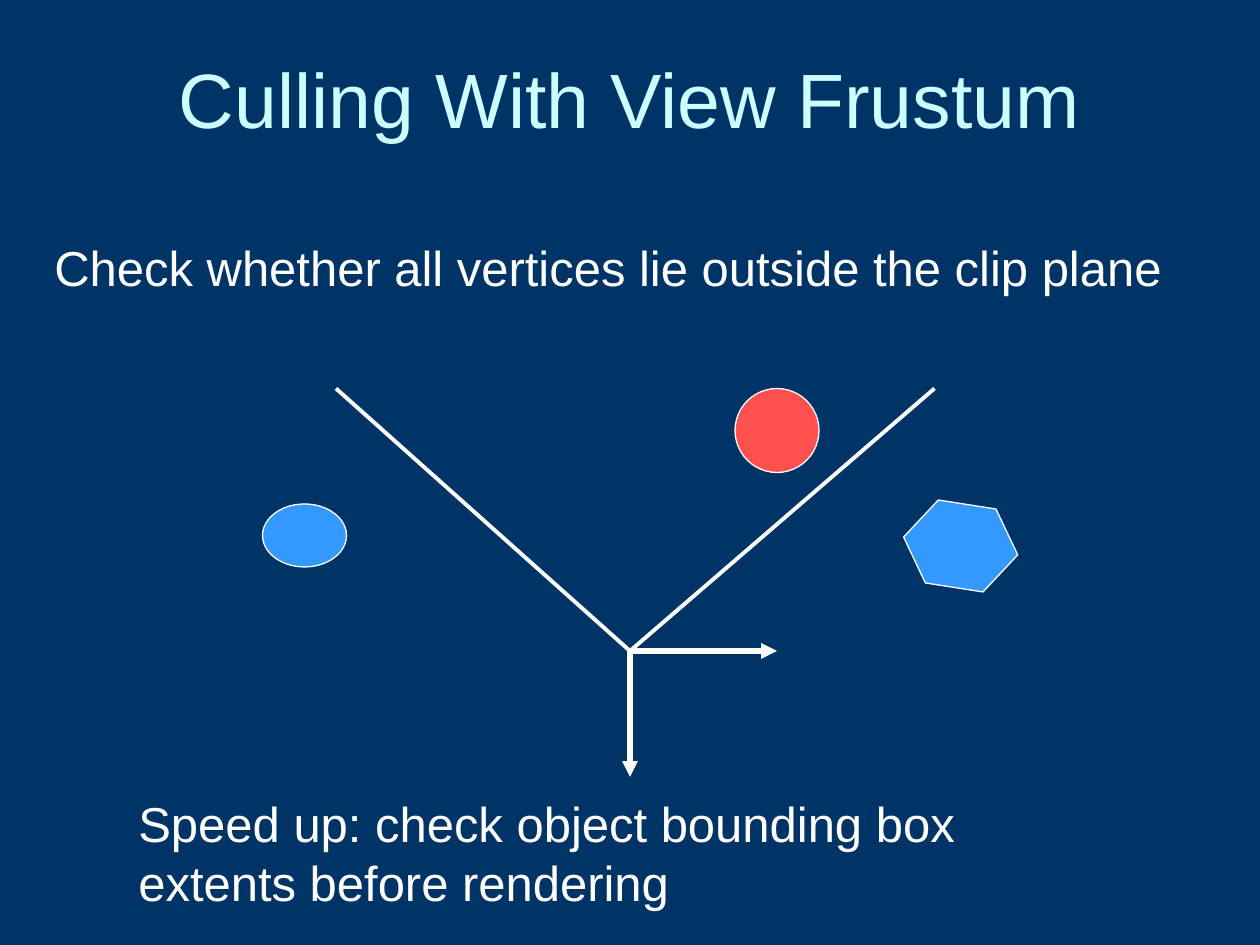
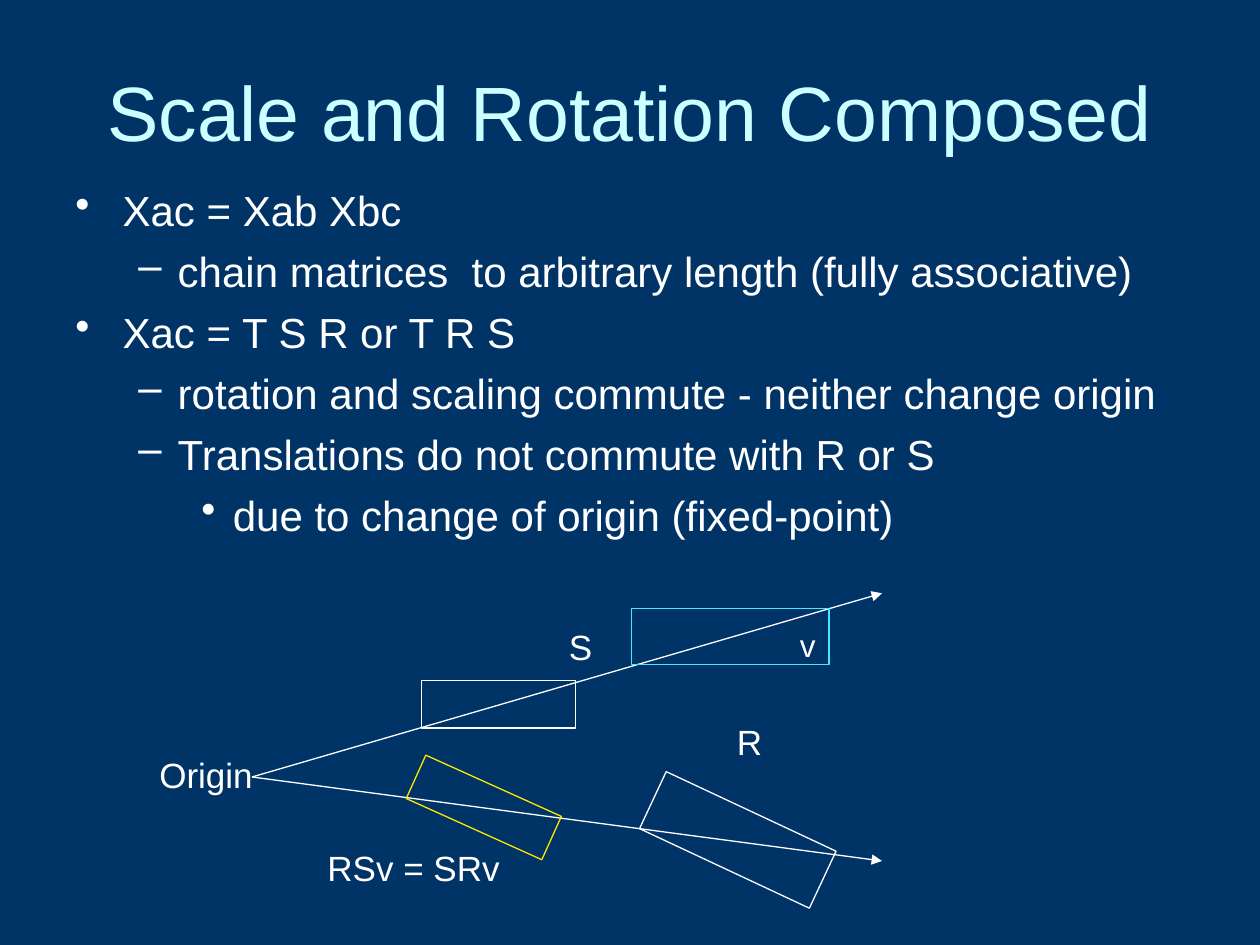
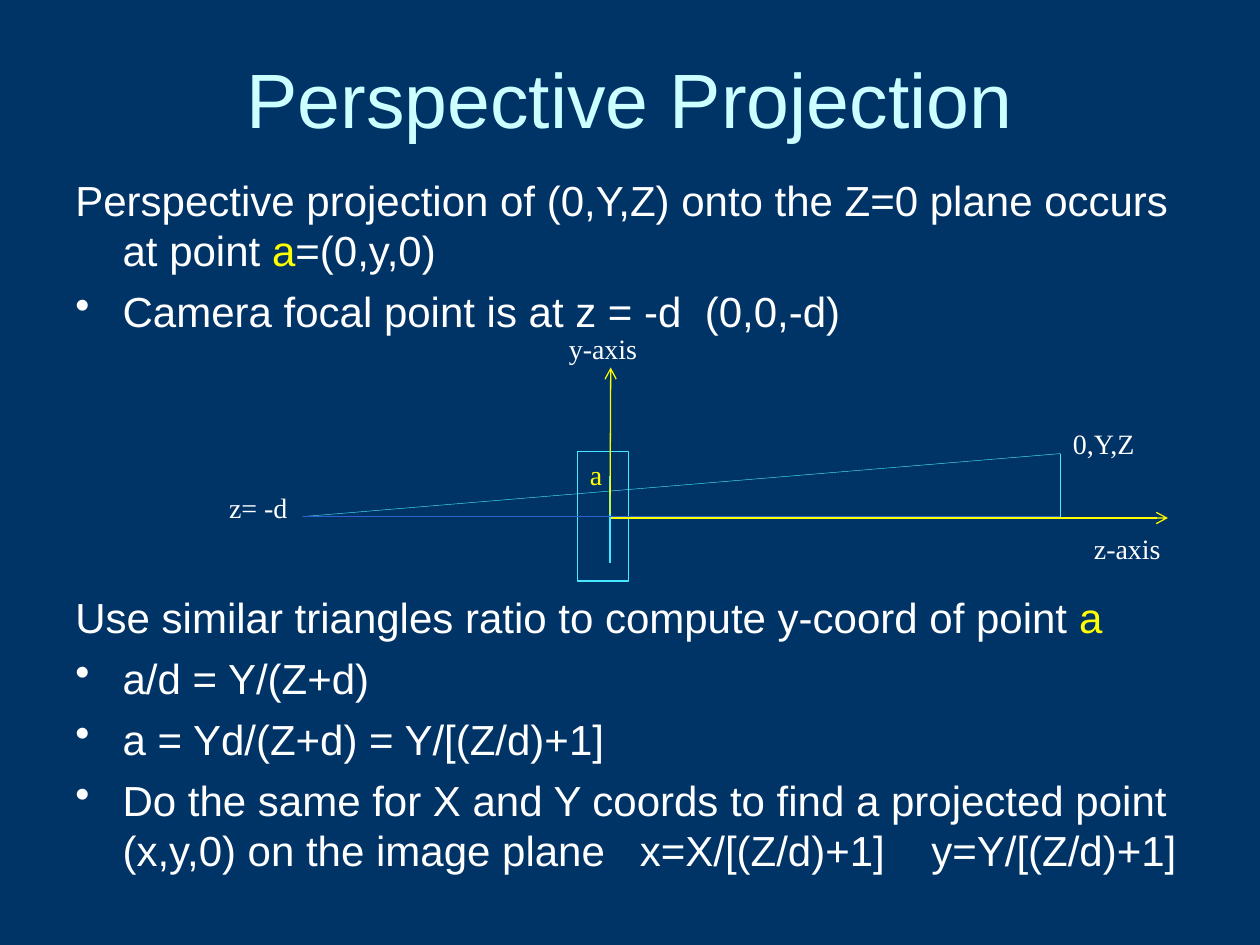
from lxml.etree import SubElement
from pptx import Presentation
from pptx.dml.color import RGBColor
from pptx.enum.shapes import MSO_CONNECTOR, MSO_SHAPE
from pptx.enum.text import MSO_ANCHOR, PP_ALIGN
from pptx.oxml.ns import qn
from pptx.util import Pt

NAVY = "003366"
PALE_CYAN = "CCFFFF"
WHITE = "FFFFFF"
SKY = "3399FF"
CORAL = "FF5050"
CYAN = "46E8FF"
GOLD = "FFE701"
YELLOW = "FFFF00"
BLUE = "2E62CB"

SANS = "Arial"
SERIF = "Times New Roman"

LEVELS = [(27, -27, "•"), (58.5, -22.5, "–"), (90, -18, "•")]


def color(hex_value):
    return RGBColor.from_string(hex_value)


def set_font(font, size, hex_value=WHITE, name=SANS):
    font.size = Pt(size)
    font.name = name
    font.color.rgb = color(hex_value)


def add_text_box(slide, left, top, width, height, wrap=True):
    box = slide.shapes.add_textbox(Pt(left), Pt(top), Pt(width), Pt(height))
    box.text_frame.word_wrap = wrap
    return box.text_frame


def add_title(slide, text, top=21.6, height=68.4):
    frame = add_text_box(slide, 36, top, 648, height)
    frame.vertical_anchor = MSO_ANCHOR.MIDDLE
    paragraph = frame.paragraphs[0]
    paragraph.text = text
    paragraph.alignment = PP_ALIGN.CENTER
    set_font(paragraph.font, 44, PALE_CYAN)


def add_label(slide, text, left, top, width, height, size=20, name=SANS, wrap=True):
    paragraph = add_text_box(slide, left, top, width, height, wrap).paragraphs[0]
    paragraph.text = text
    set_font(paragraph.font, size, name=name)


def format_bullet(paragraph, level, bulleted):
    margin, indent, symbol = LEVELS[level]
    paragraph.level = level
    properties = paragraph._p.get_or_add_pPr()
    properties.set("marL", str(Pt(margin)))
    properties.set("indent", str(Pt(indent)))
    if bulleted:
        SubElement(properties, qn("a:buChar")).set("char", symbol)
    else:
        SubElement(properties, qn("a:buNone"))


def add_body(slide, left, top, width, height, items, size=24):
    frame = add_text_box(slide, left, top, width, height)
    for index, (level, bulleted, gap, parts) in enumerate(items):
        paragraph = frame.paragraphs[0] if index == 0 else frame.add_paragraph()
        paragraph.space_before = Pt(gap)
        format_bullet(paragraph, level, bulleted)
        set_font(paragraph.font, size)
        for text, hex_value in parts:
            run = paragraph.add_run()
            run.text = text
            set_font(run.font, size, hex_value)


def plain(text):
    return [(text, WHITE)]


def add_line(slide, start, end, hex_value=WHITE, width=0.75, arrow=None):
    connector = slide.shapes.add_connector(
        MSO_CONNECTOR.STRAIGHT, *[Pt(value) for value in (*start, *end)])
    connector.line.color.rgb = color(hex_value)
    connector.line.width = Pt(width)
    if arrow:
        SubElement(connector.line._get_or_add_ln(), qn("a:tailEnd")).set("type", arrow)
    SubElement(connector._element.spPr, qn("a:effectLst"))


def add_figure(slide, kind, left, top, width, height,
               fill=None, outline=WHITE, rotation=0):
    shape = slide.shapes.add_shape(kind, Pt(left), Pt(top), Pt(width), Pt(height))
    shape.shadow.inherit = False
    shape.rotation = rotation
    if fill:
        shape.fill.solid()
        shape.fill.fore_color.rgb = color(fill)
    else:
        shape.fill.background()
    shape.line.color.rgb = color(outline)
    shape.line.width = Pt(0.75)
    return shape


def build_culling(slide):
    add_title(slide, "Culling With View Frustum")
    add_body(slide, 24, 132, 678, 324, [
        (0, False, 7, plain("Check whether all vertices lie outside the clip plane")),
    ], size=28)
    eye = (360, 372)
    for frustum_edge in ((192, 222), (534, 222)):
        add_line(slide, eye, frustum_edge, width=2.25)
    for axis_end in ((444, 372), (360, 444)):
        add_line(slide, eye, axis_end, width=3, arrow="triangle")
    add_figure(slide, MSO_SHAPE.OVAL, 150, 288, 48, 36, SKY)
    add_figure(slide, MSO_SHAPE.OVAL, 420, 222, 48, 48, CORAL)
    add_label(slide, "Speed up: check object bounding box extents before rendering",
              72, 450, 564, 75, size=28)
    hexagon = add_figure(slide, MSO_SHAPE.HEXAGON, 516, 288, 66, 48, SKY, rotation=8.9)
    hexagon.adjustments[0] = 0.34


def build_composition(slide):
    add_title(slide, "Scale and Rotation Composed", 18, 90)
    outline = [
        (0, "Xac = Xab Xbc"),
        (1, "chain matrices  to arbitrary length (fully associative)"),
        (0, "Xac = T S R or T R S"),
        (1, "rotation and scaling commute - neither change origin"),
        (1, "Translations do not commute with R or S"),
        (2, "due to change of origin (fixed-point)"),
    ]
    add_body(slide, 36, 102, 648, 402,
             [(level, True, 6, plain(text)) for level, text in outline])
    for ray_end in ((504, 339), (504, 492)):
        add_line(slide, (144, 444), ray_end, arrow="triangle")
    for left, top, width, height, outline_color, rotation in [
        (241, 388.8, 88, 27.2, WHITE, 0),
        (360.8, 347.8, 113, 32, CYAN, 0),
        (234, 447.8, 85, 27.2, GOLD, 24.3),
        (368, 462, 107.2, 36, WHITE, 25.1),
    ]:
        add_figure(slide, MSO_SHAPE.RECTANGLE, left, top, width, height,
                   outline=outline_color, rotation=rotation)
    for text, left, top, width in [
        ("Origin", 84, 427, 72),
        ("R", 414, 408, 30),
        ("S", 318, 354, 30),
        ("RSv = SRv", 180, 480, 132),
    ]:
        add_label(slide, text, left, top, width, 31.6)
    add_label(slide, "v", 450, 354, 23, 29, size=18, wrap=False)


def build_perspective(slide):
    add_title(slide, "Perspective Projection")
    diagram_gap = 146
    add_body(slide, 36, 96, 648, 426, [
        (0, False, 6, [
            ("Perspective projection of (0,Y,Z) onto the Z=0 plane occurs at point ", WHITE),
            ("a", YELLOW), ("=(0,y,0)", WHITE)]),
        (0, True, 6, plain("Camera focal point is at z = -d  (0,0,-d)")),
        (0, False, diagram_gap, [
            ("Use similar triangles ratio to compute y-coord of point ", WHITE),
            ("a", YELLOW)]),
        (0, True, 6, plain("a/d = Y/(Z+d)")),
        (0, True, 6, plain("a = Yd/(Z+d) = Y/[(Z/d)+1]")),
        (0, True, 6, plain("Do the same for X and Y coords to find a projected point (x,y,0) "
                           "on the image plane   x=X/[(Z/d)+1]    y=Y/[(Z/d)+1]")),
    ])
    focal_point, point, point_foot = (173, 295.2), (606, 259.2), (606, 295.2)
    add_line(slide, (348.6, 272), (348.6, 322), CYAN)
    add_line(slide, point, focal_point, CYAN, 0.25)
    add_line(slide, point, point_foot, CYAN, 0.25)
    image_plane = add_figure(slide, MSO_SHAPE.RECTANGLE, 330, 258, 29, 74, outline=CYAN)
    image_plane.text_frame.vertical_anchor = MSO_ANCHOR.TOP
    paragraph = image_plane.text_frame.paragraphs[0]
    paragraph.text = "a"
    paragraph.alignment = PP_ALIGN.LEFT
    set_font(paragraph.font, 16, YELLOW, SERIF)
    add_line(slide, focal_point, point_foot, BLUE)
    add_line(slide, (348.6, 294), (349, 210), YELLOW, arrow="arrow")
    add_line(slide, (349, 296), (667.4, 296), YELLOW, arrow="arrow")
    for text, left, top, width in [
        ("0,Y,Z", 606, 240, 60),
        ("z= -d", 123.8, 276.6, 54),
        ("y-axis", 318, 186, 84),
        ("z-axis", 618, 300, 84),
    ]:
        add_label(slide, text, left, top, width, 17.2, size=16, name=SERIF)


def main():
    presentation = Presentation()
    presentation.slide_width = Pt(720)
    presentation.slide_height = Pt(540)
    background = presentation.slide_master.background.fill
    background.solid()
    background.fore_color.rgb = color(NAVY)
    for build in (build_culling, build_composition, build_perspective):
        build(presentation.slides.add_slide(presentation.slide_layouts[6]))
    presentation.save("out.pptx")


if __name__ == "__main__":
    main()
